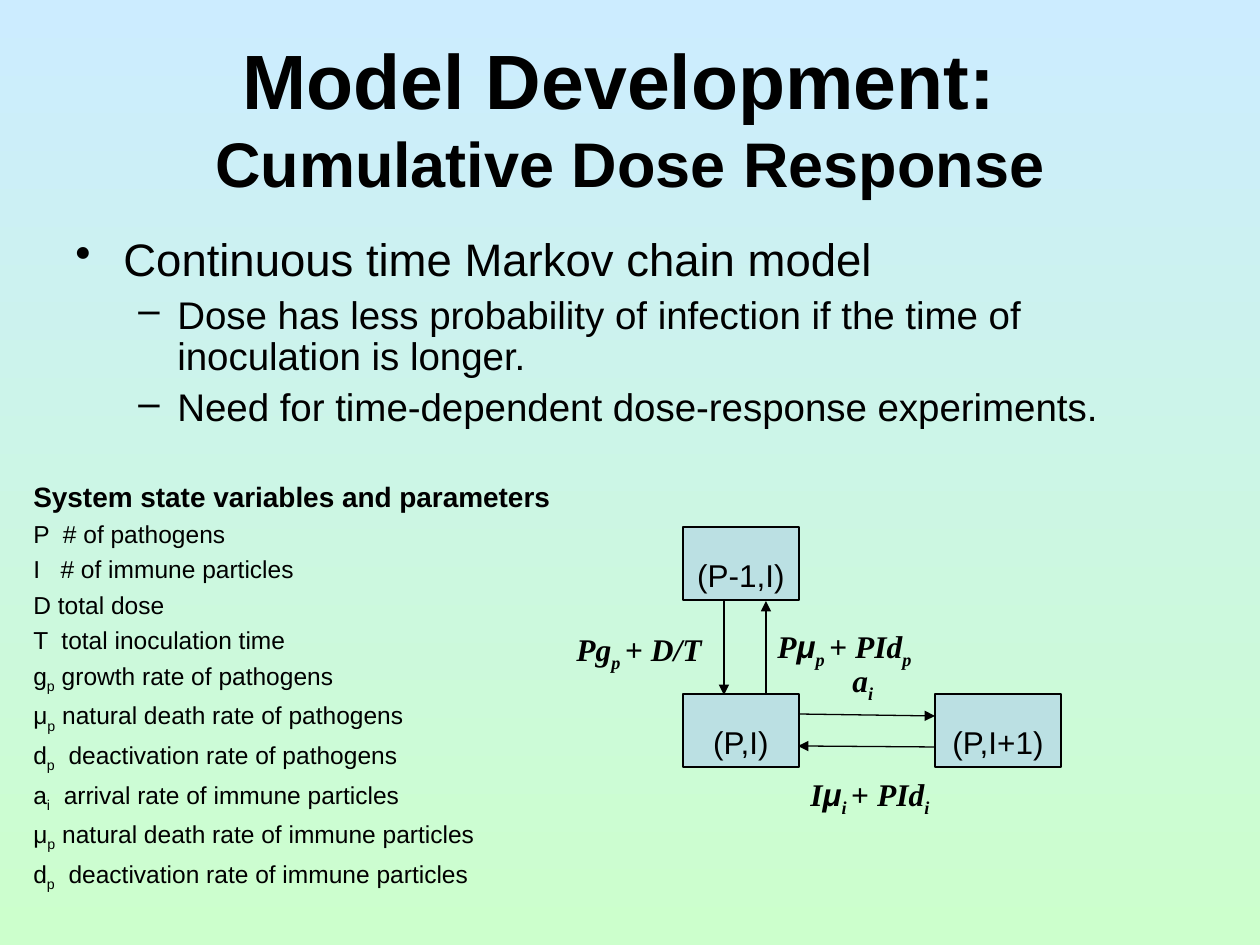
from lxml import etree
from pptx import Presentation
from pptx.dml.color import RGBColor
from pptx.enum.shapes import MSO_CONNECTOR, MSO_SHAPE
from pptx.enum.text import MSO_ANCHOR, PP_ALIGN
from pptx.oxml.ns import qn
from pptx.util import Emu, Pt

STRAIGHT = MSO_CONNECTOR.STRAIGHT
RECTANGLE = MSO_SHAPE.RECTANGLE
CENTER, LEFT = PP_ALIGN.CENTER, PP_ALIGN.LEFT
TOP, MIDDLE = MSO_ANCHOR.TOP, MSO_ANCHOR.MIDDLE

EMU_PER_PX = 914400 / 126
BLACK, STATE_FILL = "000000", "BBE0E3"
SKY, MINT = "CCECFF", "CCFFCC"
SANS, SERIF = "Arial", "Times New Roman"
LINE_WIDTH = Pt(0.75)

PLAIN = {"name": SANS, "size": Pt(14), "bold": False}
HEADING = {"name": SANS, "size": Pt(16), "bold": True}
STATE = {"name": SANS, "size": Pt(18)}
FORMULA = {"name": SERIF, "size": Pt(18), "bold": True, "italic": True}
FORMULA_CHANGES = {"μ": {"name": SANS}, "+ ": {"italic": False}}

# A piece that starts with "_" is a subscript
PARAMETERS = [
    ["P  # of pathogens"],
    ["I   # of immune particles"],
    ["D total dose"],
    ["T  total inoculation time"],
    ["g", "_p", " growth rate of pathogens"],
    ["μ", "_p", " natural death rate of pathogens"],
    ["d", "_p", "  deactivation rate of pathogens"],
    ["a", "_i", "  arrival rate of immune particles"],
    ["μ", "_p", " natural death rate of immune particles"],
    ["d", "_p", "  deactivation rate of immune particles"],
]
STATES = [
    ("(P,I)", (683, 694, 116, 73)),
    ("(P-1,I)", (683, 527, 116, 73)),
    ("(P,I+1)", (935, 694, 126, 73)),
]
TRANSITIONS = [
    (798, 714, 935, 716),
    (935, 747, 798, 746),
    (724, 580, 724, 695),
    (766, 695, 766, 601),
]
RATES = [
    (["P", "μ", "_p ", "+ ", "PId", "_p"], (765, 621, 192, 55)),
    (["Pg", "_p ", "+ ", "D/T"], (564, 624, 192, 55)),
    (["a", "_i"], (840, 655, 95, 55)),
    (["I", "μ", "_i ", "+ ", "PId", "_i"], (798, 769, 192, 55)),
]


def px(*lengths):
    return [Emu(round(length * EMU_PER_PX)) for length in lengths]


def color(value):
    return RGBColor.from_string(value)


def set_values(target, values):
    for name, value in values.items():
        setattr(target, name, value)


def add_run(paragraph, text, font):
    run = paragraph.add_run()
    run.text = text.removeprefix("_")
    set_values(run.font, font)
    run.font.color.rgb = color(BLACK)
    if text.startswith("_"):
        run.font._element.set("baseline", "-25000")


def add_pieces(paragraph, pieces, font, changes=None):
    for piece in pieces:
        add_run(paragraph, piece, font | (changes or {}).get(piece, {}))


def add_text_box(slide, box, anchor=TOP):
    frame = slide.shapes.add_textbox(*px(*box)).text_frame
    set_values(frame, {"word_wrap": True, "vertical_anchor": anchor})
    return frame


def next_paragraph(frame, **values):
    """Use the first paragraph while it is empty, then add new ones."""
    first = frame.paragraphs[0]
    paragraph = frame.add_paragraph() if first.runs else first
    set_values(paragraph, values)
    return paragraph


def add_bullet(frame, text, sign, size, margin, hanging, before, level):
    paragraph = next_paragraph(frame, level=level, line_spacing=0.9,
                               space_before=Pt(before))
    properties = paragraph._p.get_or_add_pPr()
    margin, hanging = px(margin, hanging)
    properties.set("marL", str(margin))
    properties.set("indent", str(-hanging))
    etree.SubElement(properties, qn("a:buChar")).set("char", sign)
    add_run(paragraph, text, {"name": SANS, "size": Pt(size)})


def add_state(slide, text, box):
    shape = slide.shapes.add_shape(RECTANGLE, *px(*box))
    shape.shadow.inherit = False
    shape.fill.solid()
    shape.fill.fore_color.rgb = color(STATE_FILL)
    shape.line.color.rgb = color(BLACK)
    shape.line.width = LINE_WIDTH
    frame = shape.text_frame
    set_values(frame, {"word_wrap": True, "vertical_anchor": TOP})
    paragraph = next_paragraph(frame, alignment=CENTER, line_spacing=1.6,
                               space_before=Pt(11.2))
    add_run(paragraph, text, STATE)


def add_arrow(slide, ends):
    connector = slide.shapes.add_connector(STRAIGHT, *px(*ends))
    connector.line.color.rgb = color(BLACK)
    connector.line.width = LINE_WIDTH
    line = connector.line._get_or_add_ln()
    etree.SubElement(line, qn("a:tailEnd")).set("type", "triangle")
    etree.SubElement(connector._element.spPr, qn("a:effectLst"))


def set_background(slide):
    fill = slide.background.fill
    fill.gradient()
    fill.gradient_angle = 270
    for stop, value in zip(fill.gradient_stops, (SKY, MINT)):
        stop.color.rgb = color(value)


def add_title(slide):
    frame = add_text_box(slide, (63, 38, 1134, 157), MIDDLE)
    paragraph = next_paragraph(frame, alignment=CENTER)
    font = {"name": SANS, "bold": True}
    add_run(paragraph, "Model Development: ", font | {"size": Pt(44)})
    paragraph.add_line_break()
    add_run(paragraph, "Cumulative Dose Response", font | {"size": Pt(36)})


def add_body(slide):
    frame = add_text_box(slide, (63, 231, 1134, 242))
    add_bullet(frame, "Continuous time Markov chain model",
               "•", 26, 48, 48, 6.5, 0)
    for text in (
        "Dose has less probability of infection if the time of "
        "inoculation is longer.",
        "Need for time-dependent dose-response experiments.",
    ):
        add_bullet(frame, text, "–", 22, 102, 39, 5.5, 1)


def add_parameters(slide):
    frame = add_text_box(slide, (21, 473, 557, 426))
    heading = next_paragraph(frame, alignment=LEFT, space_before=Pt(4))
    add_run(heading, "System state variables and parameters", HEADING)
    for pieces in PARAMETERS:
        paragraph = next_paragraph(frame, alignment=LEFT, space_before=Pt(3.5))
        add_pieces(paragraph, pieces, PLAIN)


def add_state_diagram(slide):
    for ends in TRANSITIONS:
        add_arrow(slide, ends)
    for text, box in STATES:
        add_state(slide, text, box)
    for pieces, box in RATES:
        paragraph = next_paragraph(add_text_box(slide, box), alignment=LEFT)
        add_pieces(paragraph, pieces, FORMULA, FORMULA_CHANGES)


def main():
    presentation = Presentation()
    presentation.slide_width, presentation.slide_height = px(1260, 945)
    slide = presentation.slides.add_slide(presentation.slide_layouts[6])
    set_background(slide)
    add_title(slide)
    add_body(slide)
    add_state_diagram(slide)
    add_parameters(slide)
    presentation.save("out.pptx")


if __name__ == "__main__":
    main()
